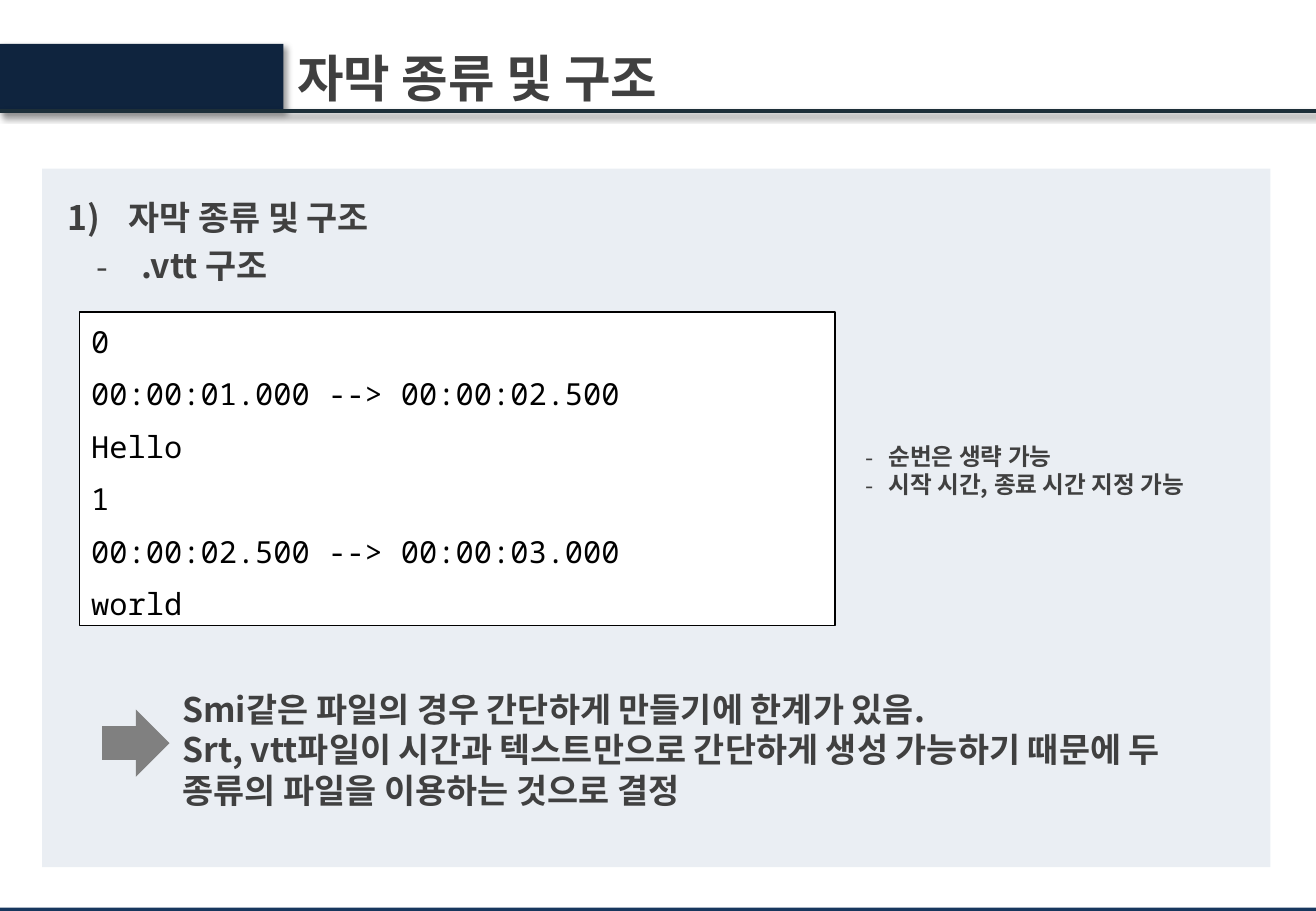
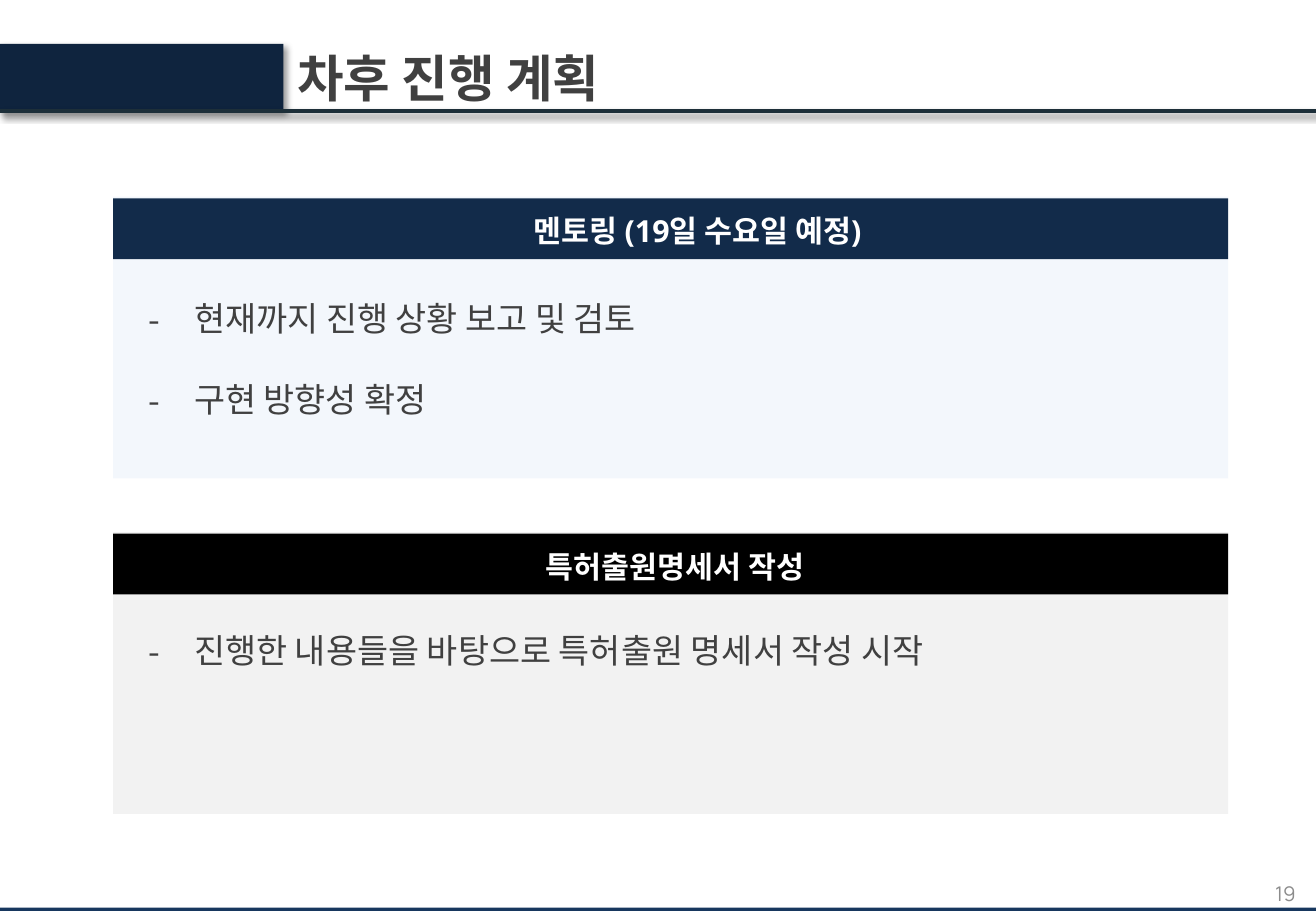
from dataclasses import dataclass
from lxml.etree import SubElement
from pptx import Presentation
from pptx.dml.color import RGBColor as RGB
from pptx.enum.shapes import MSO_CONNECTOR as LINE, MSO_SHAPE as SHAPE
from pptx.enum.text import MSO_ANCHOR as ANCHOR, PP_ALIGN as ALIGN
from pptx.oxml.ns import qn
from pptx.util import Pt


@dataclass(frozen=True)
class Theme:
    ink: str = "404040"
    black: str = "000000"
    white: str = "FFFFFF"
    navy: str = "0F243E"
    deep: str = "122B4A"
    foot: str = "17375E"
    rule: str = "1D2F39"
    steel: str = "376092"
    sky: str = "8EB4E3"
    grey: str = "808080"
    pale: str = "8C8C8C"
    sans: str = "Noto Sans CJK KR"
    head: str = "Noto Sans"
    mono: str = "Noto Sans Mono"
    digit: str = "Manrope"
    huge: int = 30
    big: int = 20
    mid: int = 18
    small: int = 14
    tiny: int = 12


T = Theme()
TITLE = dict(name=T.sans, size=Pt(T.huge), bold=True)
STRONG = dict(name=T.sans, size=Pt(T.big), bold=True)
PLAIN = dict(name=T.sans, size=Pt(T.big), bold=False)
NOTE = dict(name=T.sans, size=Pt(T.small), bold=True)
HEAD = dict(name=T.head, size=Pt(T.mid), bold=True)
CODE = dict(name=T.mono, size=Pt(T.mid), bold=False)
PAGE = dict(name=T.digit, size=Pt(T.tiny), bold=False)


def block(slide, box, fill, kind=SHAPE.RECTANGLE, alpha=None):
    shape = slide.shapes.add_shape(kind, *map(Pt, box))
    shape.shadow.inherit = False
    shape.fill.solid()
    shape.fill.fore_color.rgb = RGB.from_string(fill)
    shape.line.fill.background()
    if alpha:
        tint = shape.element.spPr.find(".//" + qn("a:srgbClr"))
        SubElement(tint, qn("a:alpha"), val=str(alpha * 1000))
    return shape


def write(shape, lines, font, ink=T.ink, align=ALIGN.LEFT, indent=0,
          bullet=None, pitch=1.2, after=0, anchor=ANCHOR.TOP):
    """Fill a shape with lines; pitch is the line height per point of type."""
    size = font["size"].pt
    frame = shape.text_frame
    look = dict(word_wrap=True, vertical_anchor=anchor,
                margin_left=Pt(7.2), margin_right=Pt(7.2),
                margin_top=Pt(3.6 + 0.08 * size), margin_bottom=Pt(0))
    for key, val in look.items():
        setattr(frame, key, val)
    for i, line in enumerate(lines):
        para = frame.add_paragraph() if i else frame.paragraphs[0]
        form = dict(alignment=align, line_spacing=Pt(round(pitch * size, 1)),
                    space_before=Pt(0), space_after=Pt(after))
        for key, val in form.items():
            setattr(para, key, val)
        if bullet:
            props = para._p.get_or_add_pPr()
            props.set("marL", str(Pt(indent)))
            props.set("indent", str(Pt(-indent)))
            SubElement(props, qn("a:buFont"), typeface=T.sans)
            if bullet == "1)":
                SubElement(props, qn("a:buAutoNum"), type="arabicParenR")
            else:
                SubElement(props, qn("a:buChar"), char=bullet)
        run = para.add_run()
        run.text = line
        for key, val in font.items():
            setattr(run.font, key, val)
        run.font.color.rgb = RGB.from_string(ink)
        east = T.sans if font["name"] == T.head else font["name"]
        SubElement(run._r.get_or_add_rPr(), qn("a:ea"), typeface=east)


deck = Presentation()
deck.slide_width, deck.slide_height = Pt(780), Pt(540)
plan = deck.slide_layouts[5]
types, steps = [deck.slides.add_slide(plan) for _ in range(2)]

# Shared frame, kept on the layout
foot = block(types, (-7, 538, 794, 6), T.foot)
band = block(types, (-1, 26, 169, 40), T.navy)
rule = types.shapes.add_connector(LINE.STRAIGHT, Pt(0), Pt(66), Pt(780), Pt(66))
rule.line.width = Pt(2.25)
rule.line.color.rgb = RGB.from_string(T.rule)
for part in (band, rule):
    props = part.element.spPr
    for old in props.findall(qn("a:effectLst")):
        props.remove(old)
    glow = SubElement(SubElement(props, qn("a:effectLst")), qn("a:outerShdw"),
                      blurRad=str(Pt(4)), dist=str(Pt(3)), dir="2700000",
                      algn="tl", rotWithShape="0")
    shade = SubElement(glow, qn("a:srgbClr"), val=T.black)
    SubElement(shade, qn("a:alpha"), val="40000")
for i, part in enumerate((foot, band, rule)):
    part.element.xpath(".//p:cNvPr")[0].set("id", str(20 + i))
    plan.shapes.element.append(part.element)

# Titles
for slide, text in ((types, "자막 종류 및 구조"), (steps, "차후 진행 계획")):
    title = slide.shapes.title
    spot = dict(left=169, top=21.6, width=607, height=44)
    for key, val in spot.items():
        setattr(title, key, Pt(val))
    write(title, [text], TITLE)

# Subtitle types
block(types, (25, 100, 728, 414), T.steel, alpha=10)
code = block(types, (47, 185, 448, 186), T.white)
code.line.color.rgb = RGB.from_string(T.black)
code.line.width = Pt(0.75)
write(code, ["0", "00:00:01.000 --> 00:00:02.500", "Hello",
             "1", "00:00:02.500 --> 00:00:03.000", "world"],
      CODE, ink=T.black, align=ALIGN.JUSTIFY, pitch=1.284, after=8)
block(types, (60.5, 420.5, 40, 40), T.grey, SHAPE.RIGHT_ARROW)
texts = (
    ((33, 111.6, 708, 32), ["자막 종류 및 구조"], STRONG, 36, "1)"),
    ((50, 140, 635, 32), [".vtt 구조"], STRONG, 27, "-"),
    ((506, 257, 270, 41), ["순번은 생략 가능", "시작 시간, 종료 시간 지정 가능"],
     NOTE, 13.5, "-"),
    ((101, 403, 640, 80),
     ["Smi같은 파일의 경우 간단하게 만들기에 한계가 있음.",
      "Srt, vtt파일이 시간과 텍스트만으로 간단하게 생성 가능하기 때문에 "
      "두 종류의 파일을 이용하는 것으로 결정"], STRONG, 0, None),
)
for box, lines, font, indent, bullet in texts:
    area = types.shapes.add_textbox(*map(Pt, box))
    write(area, lines, font, indent=indent, bullet=bullet)

# Next steps
cards = (
    (116.6, T.sky, T.deep, "멘토링 (19일 수요일 예정)", (153, 521), 54.7,
     ["현재까지 진행 상황 보고 및 검토", "구현 방향성 확정"]),
    (315.4, T.grey, T.black, "특허출원명세서 작성", (87, 626), 52.6,
     ["진행한 내용들을 바탕으로 특허출원 명세서 작성 시작"]),
)
for top, tint, fill, name, (left, width), drop, lines in cards:
    block(steps, (67, top, 661, 167), tint, alpha=10)
    block(steps, (67, top + 1, 661, 36), fill)
    head = steps.shapes.add_textbox(*map(Pt, (left, top + 4.3, width, 29)))
    write(head, [name], HEAD, ink=T.white, align=ALIGN.CENTER)
    items = steps.shapes.add_textbox(*map(Pt, (81, top + drop, 637, 80)))
    write(items, lines, PLAIN, indent=27, bullet="-", after=24)

page = steps.shapes.add_textbox(*map(Pt, (593, 513, 182, 29)))
write(page, ["19"], PAGE, ink=T.pale, align=ALIGN.RIGHT, anchor=ANCHOR.MIDDLE)

deck.save("out.pptx")
